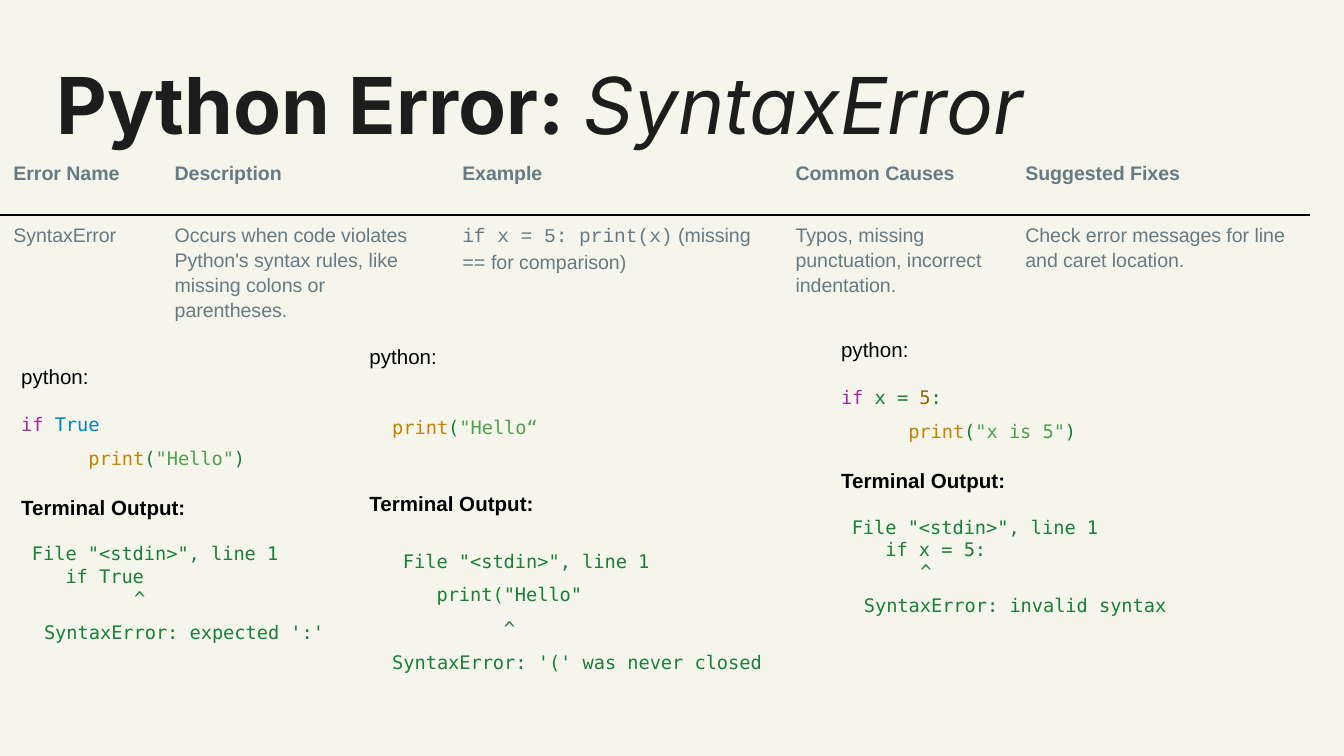
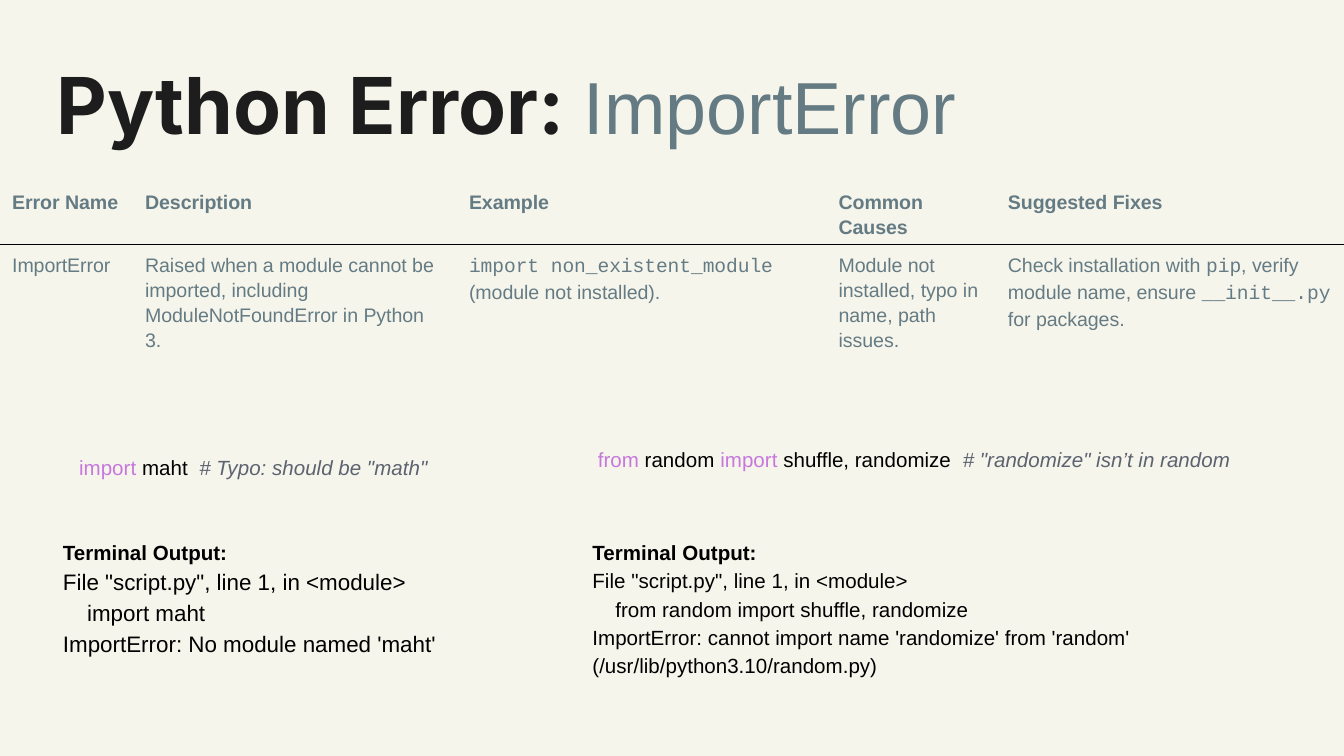
from dataclasses import dataclass, field

from lxml.etree import SubElement
from pptx import Presentation
from pptx.dml.color import RGBColor
from pptx.enum.text import MSO_ANCHOR, MSO_AUTO_SIZE, PP_ALIGN
from pptx.oxml import parse_xml
from pptx.oxml.ns import qn
from pptx.util import Inches, Pt

COLS, ROWS = 100, 56.25
SANS, MONO, CODE, HEAD = "Arial", "DejaVu Sans Mono", "Courier New", "Inter"
PLAIN = "{2D5ABB26-0587-4C30-8999-92F81FD0307C}"  # table style without grid
A = "http://schemas.openxmlformats.org/drawingml/2006/main"


def look(name, size, color, bold=False, italic=False):
    font = dict(name=name, size=Pt(size), bold=bold, italic=italic)
    return font, RGBColor.from_string(color)


@dataclass
class Theme:
    back: str = "F6F5EC"
    rule: str = "000000"
    looks: dict = field(default_factory=lambda: {
        "title": look(HEAD, 42, "1D1D1D", bold=True),
        "slant": look(HEAD, 42, "1D1D1D", italic=True),
        "light": look(SANS, 39.5, "657B83"),
        "head": look(SANS, 10.5, "657B83", bold=True),
        "cell": look(SANS, 10.5, "657B83"),
        "term": look(CODE, 10.5, "657B83"),
        "text": look(SANS, 11, "000000"),
        "large": look(SANS, 12, "000000"),
        "label": look(SANS, 11, "000000", bold=True),
        "import": look(SANS, 11, "C678DD"),
        "note": look(SANS, 11, "5C6370", italic=True),
        "mono": look(MONO, 10, "188038"),
        "key": look(MONO, 10, "A626A4"),
        "const": look(MONO, 10, "0184BB"),
        "call": look(MONO, 10, "C18401"),
        "str": look(MONO, 10, "50A14F"),
        "num": look(MONO, 10, "986801"),
    })


def line(*runs, indent=0, **form):
    """One paragraph: (text, look) runs, left indent in grid columns, spacing."""
    return runs, indent, form


def mono(text, indent=0, **form):
    return line((text, "mono"), indent=indent, **form)


def output(**form):
    return line(("Terminal Output:", "label"), line_spacing=1.15, **form)


class Deck:
    def __init__(self, theme):
        self.theme = theme
        self.prs = Presentation()
        self.prs.slide_width, self.prs.slide_height = Inches(10), Inches(5.625)
        fill = self.prs.slide_master.background.fill
        fill.solid()
        fill.fore_color.rgb = RGBColor.from_string(theme.back)

    def x(self, cols):
        return round(self.prs.slide_width * cols / COLS)

    def y(self, rows):
        return round(self.prs.slide_height * rows / ROWS)

    def area(self, at):
        left, top, width, height = at
        return self.x(left), self.y(top), self.x(width), self.y(height)

    def frame(self, frame, pad, fit):
        form = dict.fromkeys(
            ("margin_left", "margin_top", "margin_right", "margin_bottom"),
            self.x(pad))
        form |= dict(word_wrap=True, auto_size=fit,
                     vertical_anchor=MSO_ANCHOR.TOP)
        for key, val in form.items():
            setattr(frame, key, val)

    def lines(self, frame, lines):
        for i, (runs, indent, form) in enumerate(lines):
            par = frame.add_paragraph() if i else frame.paragraphs[0]
            props = par._p.get_or_add_pPr()
            props.set("marL", str(self.x(indent)))
            props.set("indent", "0")
            for key, val in form.items():
                setattr(par, key, val)
            for text, kind in runs:
                run = par.add_run()
                run.text = text
                font, color = self.theme.looks[kind]
                for key, val in font.items():
                    setattr(run.font, key, val)
                run.font.color.rgb = color

    def page(self, name, kind):
        self.slide = self.prs.slides.add_slide(self.prs.slide_layouts[5])
        title = self.slide.shapes.title
        title.left, title.top, title.width, title.height = self.area(
            (4.2, 4.2, 95.8, 9.3))
        self.frame(title.text_frame, 0, MSO_AUTO_SIZE.NONE)
        self.lines(title.text_frame, [line(
            ("Python Error: ", "title"), (name, kind),
            alignment=PP_ALIGN.LEFT)])

    def box(self, at, *lines):
        shape = self.slide.shapes.add_textbox(*self.area(at))
        self.frame(shape.text_frame, 1, MSO_AUTO_SIZE.SHAPE_TO_FIT_TEXT)
        self.lines(shape.text_frame, lines)

    def border(self, cell, side):
        props = cell._tc.get_or_add_tcPr()
        edge = parse_xml(f'<a:{side} xmlns:a="{A}" w="{Pt(0.75)}"/>')
        fill = SubElement(edge, qn("a:solidFill"))
        SubElement(fill, qn("a:srgbClr")).set("val", self.theme.rule)
        props.insert(0, edge)

    def table(self, left, top, cols, rows, *body):
        """Header row over one row of cells, each a list of runs."""
        names = ("Error Name", "Description", "Example", "Common Causes",
                 "Suggested Fixes")
        data = [[[(name, "head")] for name in names], body]
        table = self.slide.shapes.add_table(
            len(rows), len(cols),
            *self.area((left, top, sum(cols), sum(rows)))).table
        table.first_row = table.horz_banding = False
        table._tbl.tblPr.find(qn("a:tableStyleId")).text = PLAIN
        for col, width in zip(table.columns, cols):
            col.width = self.x(width)
        for row, height, cells, side in zip(
                table.rows, rows, data, ("lnB", "lnT")):
            row.height = self.y(height)
            for cell, runs in zip(row.cells, cells):
                cell.fill.background()
                self.border(cell, side)
                self.lines(cell.text_frame, [line(
                    *runs, line_spacing=1.15, space_after=Pt(8))])


def syntax(deck):
    deck.page("SyntaxError", "slant")
    deck.table(
        0, 11.4, (12, 21.4, 24.8, 17.1, 22.2), (4.6, 6.8),
        [("SyntaxError", "cell")],
        [("Occurs when code violates Python's syntax rules, like missing "
          "colons or parentheses.", "cell")],
        [("if x = 5: print(x)", "term"), (" (missing ", "cell"),
         ("==", "term"), (" for comparison)", "cell")],
        [("Typos, missing punctuation, incorrect indentation.", "cell")],
        [("Check error messages for line and caret location.", "cell")])

    wide = dict(line_spacing=1.5)
    step, gap = 1.7, Pt(12)
    python = ("python:", "text")
    stdin = 'File "<stdin>", line 1'

    # box, condition, printed string, echoed code, caret indent, message
    cases = (
        ((0.6, 26.1, 29.3, 22.2), [("if ", "key"), ("True", "const")],
         '"Hello"', "if True", 8.4, "expected ':'"),
        ((61.6, 24.1, 30.7, 23), [("if", "key"), (" x = ", "mono"),
                                  ("5", "num"), (":", "mono")],
         '"x is 5"', "if x = 5:", 5.9, "invalid syntax"),
    )
    for at, test, word, echo, caret, fault in cases:
        deck.box(
            at,
            line(python),
            line(*test, space_before=Pt(13)),
            line(("print", "call"), ("(", "mono"), (word, "str"),
                 (")", "mono"), indent=5, **wide),
            output(space_before=gap),
            mono(stdin, 0.8, space_before=gap),
            mono(echo, 3.3),
            mono("^", caret),
            mono(f"SyntaxError: {fault}", step, **wide))

    deck.box(
        (26.5, 23.7, 34.2, 30.6),
        line(python, **wide),
        line(("print", "call"), ("(", "mono"), ('"Hello“', "str"),
             indent=step, space_before=Pt(19), **wide),
        output(space_before=Pt(26.5)),
        mono(stdin, 2.5, space_before=gap, **wide),
        mono('print("Hello"', 5, **wide),
        mono("^", 10, **wide),
        mono("SyntaxError: '(' was never closed", step, **wide))


def imports(deck):
    deck.page("ImportError", "light")
    deck.table(
        -0.1, 13.5, (9.9, 24.1, 27.5, 12.6, 26), (4.6, 10.2),
        [("ImportError", "cell")],
        [("Raised when a module cannot be imported, including "
          "ModuleNotFoundError in Python 3.", "cell")],
        [("import non_existent_module", "term"),
         (" (module not installed).", "cell")],
        [("Module not installed, typo in name, path issues.", "cell")],
        [("Check installation with ", "cell"), ("pip", "term"),
         (", verify module name, ensure ", "cell"), ("__init__.py", "term"),
         (" for packages.", "cell")])

    # code box, code, output box, look, indent, echoed code, message
    cases = (
        ((4.9, 32.6, 32.8, 3.9),
         [("import", "import"), (" maht  ", "text"),
          ('# Typo: should be "math"', "note")],
         (3.7, 38.9, 32.8, 11), "large", 1.8, "import maht",
         "No module named 'maht'"),
        ((43.5, 32, 54.3, 3.9),
         [("from", "import"), (" random ", "text"), ("import", "import"),
          (" shuffle, randomize  ", "text"),
          ('# "randomize" isn’t in random', "note")],
         (43.1, 38.9, 53.2, 12.4), "text", 1.7,
         "from random import shuffle, randomize",
         "cannot import name 'randomize' from 'random' "
         "(/usr/lib/python3.10/random.py)"),
    )
    for top, code, low, kind, indent, echo, fault in cases:
        deck.box(top, line(*code, line_spacing=1.15))
        trace = (('File "script.py", line 1, in <module>', 0),
                 (echo, indent), (f"ImportError: {fault}", 0))
        deck.box(low, output(), *(
            line((text, kind), indent=shift, line_spacing=1.15)
            for text, shift in trace))


def main():
    deck = Deck(Theme())
    syntax(deck)
    imports(deck)
    deck.prs.save("out.pptx")


if __name__ == "__main__":
    main()
